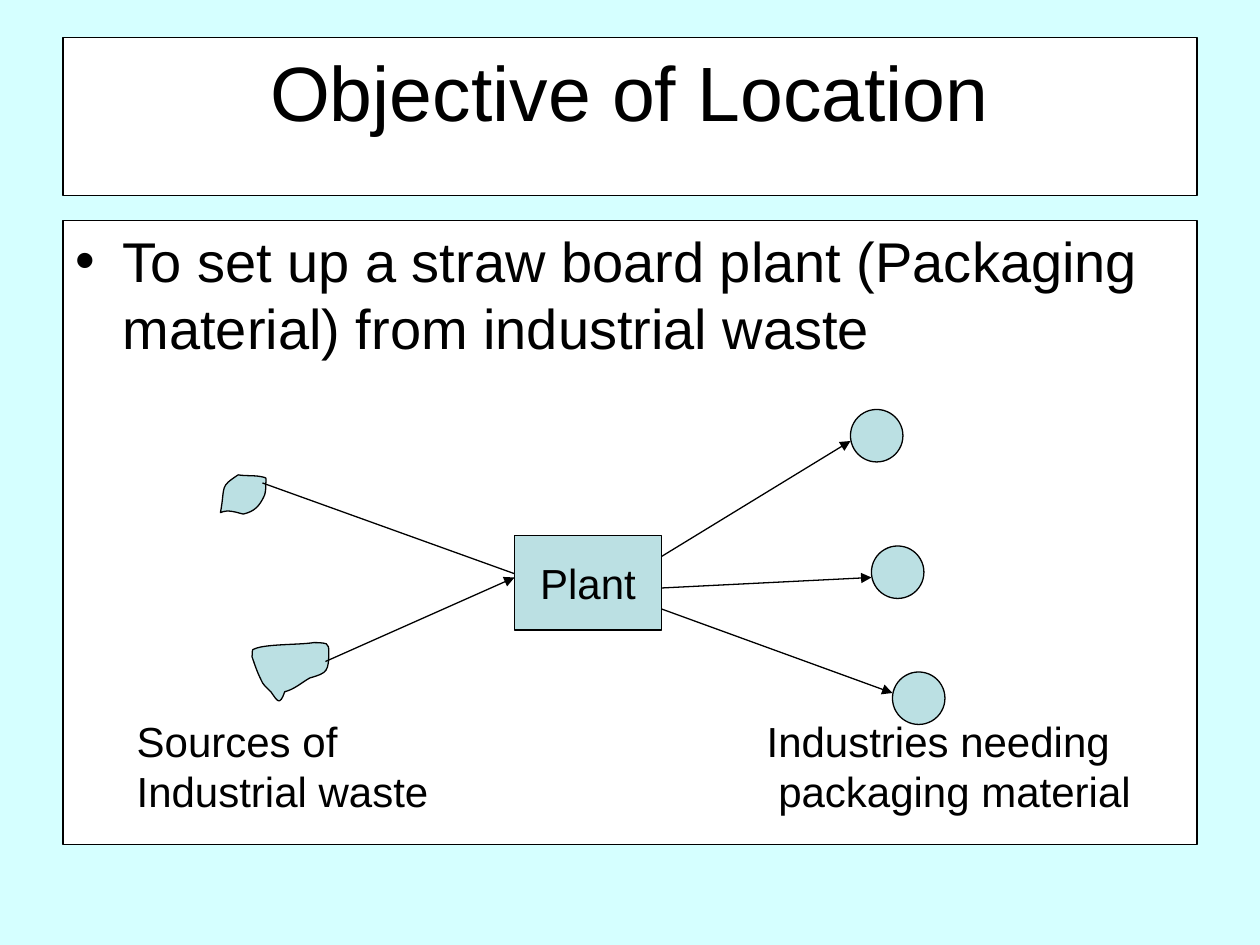
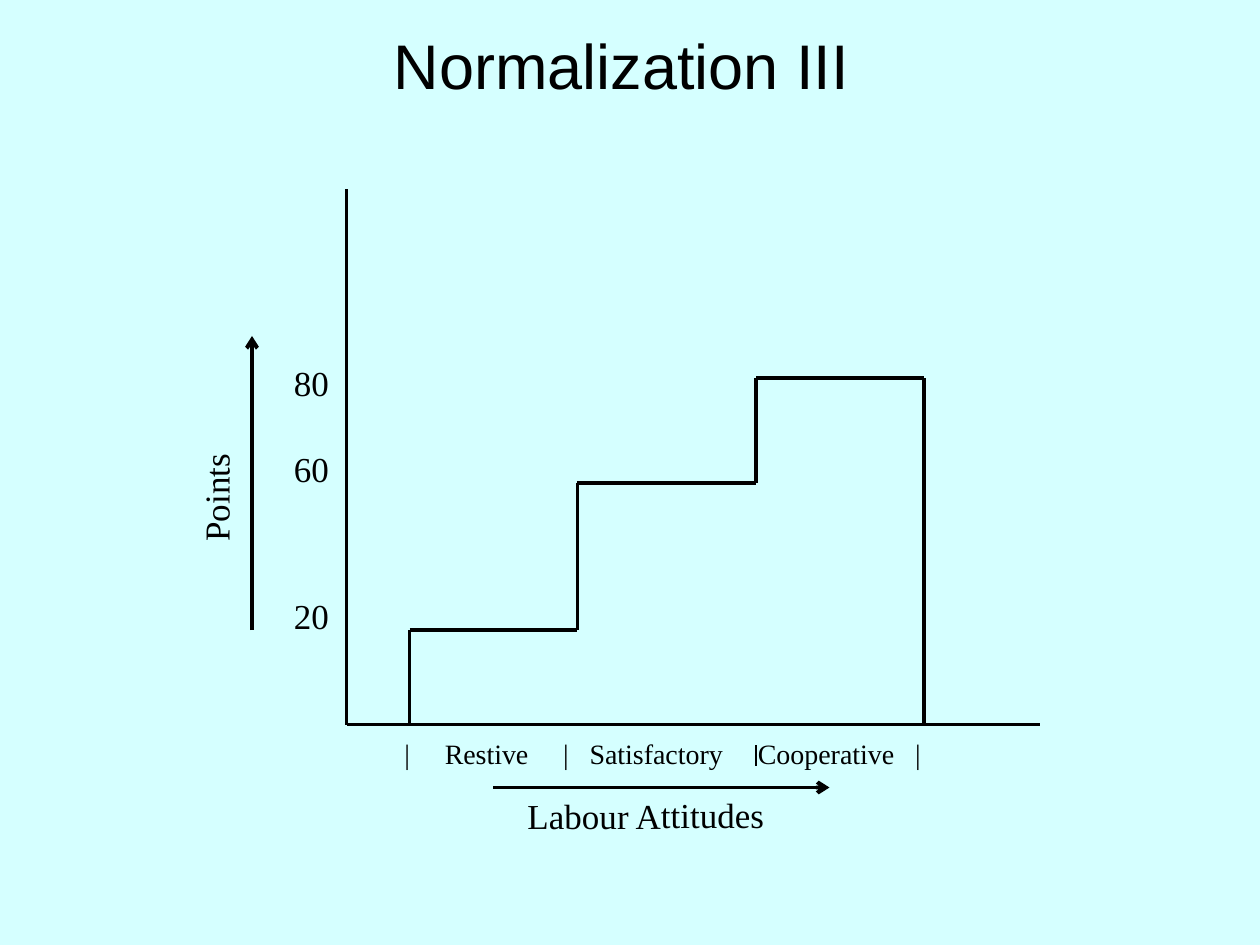
import pptx
import pptx.util
import pptx.dml.color
import pptx.enum.shapes
import pptx.enum.text
import pptx.oxml
import pptx.oxml.ns
from lxml import etree

Pt = pptx.util.Pt
RGB = pptx.dml.color.RGBColor
SHAPE = pptx.enum.shapes.MSO_SHAPE
ALIGN = pptx.enum.text.PP_ALIGN
ANCHOR = pptx.enum.text.MSO_ANCHOR
AUTO = pptx.enum.text.MSO_AUTO_SIZE
qn = pptx.oxml.ns.qn

PALE = RGB(0xD5, 0xFF, 0xFF)
WHITE = RGB(0xFF, 0xFF, 0xFF)
TEAL = RGB(0xBB, 0xE0, 0xE3)
BLACK = RGB(0, 0, 0)
SANS, SERIF = "Arial", "Times New Roman"
THIN, THICK = 0.74, 2.24

# Content, lengths in points
OBJECTIVE = "To set up a straw board plant (Packaging material) from industrial waste"
PLANT = (294, 306, 84, 54)
CIRCLE = 30
# start of the outline, then three control points for each curve
SOURCES = [
    [(126, 293), (128.9, 277.2), (125.3, 278.6), (136.1, 271.4),
     (141.1, 272.2), (146.2, 271.4), (151.2, 272.9), (152.6, 272.9),
     (151.9, 275), (151.9, 276.5), (151.9, 278.6), (151.9, 280.8),
     (151.2, 283), (148.3, 289.4), (145.4, 292.3), (139, 293.8),
     (135.4, 293), (130.3, 290.9), (126, 293)],
    [(144, 375.1), (144.7, 373.7), (143.3, 370.8), (145.4, 370.8),
     (151.9, 367.9), (170.6, 368.6), (179.3, 367.2), (181.4, 367.2),
     (184.3, 367.2), (186.5, 367.9), (187.9, 368.6), (187.9, 370.8),
     (187.9, 371.5), (187.9, 383.8), (187.2, 384.5), (177.1, 387.4),
     (172.1, 390.2), (168.5, 393.8), (162.7, 395.3), (159.8, 403.9),
     (158.4, 400.3), (154.8, 395.3), (151.9, 392.4), (150.5, 391.7),
     (149, 388.1), (146.9, 383.8), (145.4, 379.4), (144, 375.1)]]
INFLOWS = [(150, 276, 300, 330), (186, 378, 294, 330)]
# circle left and top, arrow start and end heights
INDUSTRIES = [(486, 234, 318, 252), (498, 312, 336, 330), (510, 384, 348, 396)]
CAPTIONS = [((71, 405.2, 182, 64.8), ["Sources of ", "Industrial waste"]),
            ((431, 405.2, 224, 64.8), ["Industries needing", " packaging material"])]

AXIS_X, AXIS_TOP, AXIS_RIGHT, BASE = 198, 108, 594, 414
EDGES = [234, 330, 432, 528]
STEPS = [("20", 360, 336.2), ("60", 276, 252), ("80", 216, 203)]  # label, height, label top
CATEGORIES = [("|", 51.4), ("Restive", 96.8), ("|", 142.1), ("Satisfactory", 193.7),
              ("Cooperative", 290.8), ("|", 343.3)]  # text, centre from the left inset
AXIS_NAMES = [("Points", (90.5, 268.6, 66, 31.7), 270),
              ("Labour Attitudes", (293, 450.2, 152, 31.7), 359.8)]
AXIS_ARROWS = [(144, 360, 144, 192), (282, 450, 474, 450)]

prs = pptx.Presentation()
prs.slide_width, prs.slide_height = Pt(720), Pt(540)
fill = prs.slide_master.background.fill
fill.solid()
fill.fore_color.rgb = PALE


# Shared helpers
def paint(sp, color):
    sp.fill.solid()
    sp.fill.fore_color.rgb = color
    sp.line.color.rgb = BLACK
    sp.line.width = Pt(THIN)


def write(sp, lines, size, font=SANS, align=ALIGN.LEFT, anchor=ANCHOR.TOP, wrap=True,
          auto=AUTO.NONE):
    tf = sp.text_frame
    tf.word_wrap, tf.auto_size, tf.vertical_anchor = wrap, auto, anchor
    tf.margin_left = tf.margin_right = Pt(7.2)
    tf.margin_top = tf.margin_bottom = Pt(3.6)
    for i, line in enumerate(lines):
        p = tf.add_paragraph() if i else tf.paragraphs[0]
        p.alignment = align
        r = p.add_run()
        r.text = line
        r.font.size, r.font.name, r.font.color.rgb = Pt(size), font, BLACK
    return tf.paragraphs[0]


def title_slide(text, box, size, anchor):
    s = prs.slides.add_slide(prs.slide_layouts[5])
    sp = s.shapes.title
    sp.left, sp.top, sp.width, sp.height = map(Pt, box)
    write(sp, [text], size, align=ALIGN.CENTER, anchor=anchor)
    return s


def shape(s, kind, box, color):
    sp = s.shapes.add_shape(kind, *map(Pt, box))
    sp.shadow.inherit = False
    paint(sp, color)
    return sp


def label(s, box, lines, size, font, align, wrap=False):
    sp = s.shapes.add_textbox(*map(Pt, box))
    return sp, write(sp, lines, size, font, align, wrap=wrap, auto=AUTO.SHAPE_TO_FIT_TEXT)


def line(s, ends, width, head=None):
    c = s.shapes.add_connector(pptx.enum.shapes.MSO_CONNECTOR.STRAIGHT, *map(Pt, ends))
    c.line.color.rgb = BLACK
    c.line.width = Pt(width)
    if head:
        etree.SubElement(c.line._get_or_add_ln(), qn("a:tailEnd"), type=head)
    etree.SubElement(c._element.spPr, qn("a:effectLst"))


def blob(s, pts):
    fb = s.shapes.build_freeform(Pt(pts[0][0]), Pt(pts[0][1]))
    fb.add_line_segments([(Pt(x), Pt(y)) for x, y in pts[1:]], close=True)
    sp = fb.convert_to_shape()
    sp.shadow.inherit = False
    paint(sp, TEAL)
    # every three straight segments become one curve
    segments = list(sp._element.iter(qn("a:lnTo")))
    for i in range(0, len(segments) - 2, 3):
        curve = etree.Element(qn("a:cubicBezTo"))
        segments[i].addprevious(curve)
        for seg in segments[i:i + 3]:
            curve.append(seg[0])
            seg.getparent().remove(seg)


# Slide 1: sources, plant and industries
s = title_slide("Objective of Location", (36, 21.6, 648, 90), 44, ANCHOR.TOP)
paint(s.shapes.title, WHITE)
body = shape(s, SHAPE.RECTANGLE, (36, 126, 648, 356.4), WHITE)
p = write(body, [OBJECTIVE], 32)
p.space_before = Pt(8)
pPr = p._p.get_or_add_pPr()
pPr.set("marL", str(Pt(27)))
pPr.set("indent", str(-Pt(27)))
etree.SubElement(pPr, qn("a:buFont"), typeface=SANS)
etree.SubElement(pPr, qn("a:buChar"), char="•")

for pts in SOURCES:
    blob(s, pts)
for ends in INFLOWS:
    line(s, ends, THIN, "triangle")
plant = shape(s, SHAPE.RECTANGLE, PLANT, TEAL)
write(plant, ["Plant"], 24, align=ALIGN.CENTER, anchor=ANCHOR.MIDDLE, wrap=False)
for x, y, start, end in INDUSTRIES:
    line(s, (PLANT[0] + PLANT[2], start, x, end), THIN, "triangle")
    shape(s, SHAPE.OVAL, (x, y, CIRCLE, CIRCLE), TEAL)
for box, lines in CAPTIONS:
    label(s, box, lines, 24, SANS, ALIGN.LEFT)

# Slide 2: step diagram
s = title_slide("Normalization III ", (36, 21.6, 648, 30), 36, ANCHOR.MIDDLE)
line(s, (AXIS_X, AXIS_TOP, AXIS_X, BASE), THICK)
line(s, (AXIS_X, BASE, AXIS_RIGHT, BASE), THICK)
levels = [BASE] + [top for _, top, _ in STEPS] + [BASE]
for x, before, after in zip(EDGES, levels, levels[1:]):
    line(s, (x, before, x, after), THICK)
for left, right, (text, top, label_top) in zip(EDGES, EDGES[1:], STEPS):
    line(s, (left, top, right, top), THICK)
    label(s, (160.6, label_top, 34.6, 31.7), [text], 20, SERIF, ALIGN.CENTER)
for ends in AXIS_ARROWS:
    line(s, ends, THICK, "arrow")
for text, box, turn in AXIS_NAMES:
    sp, _ = label(s, box, [text], 20, SERIF, ALIGN.CENTER)
    sp.rotation = turn

# Category row, each entry centred on a tab stop
row = "".join("\t" + text for text, _ in CATEGORIES)
_, p = label(s, (174.2, 417.6, 365.8, 26.6), [row], 16, SERIF, ALIGN.LEFT, wrap=True)
tabs = etree.SubElement(p._p.get_or_add_pPr(), qn("a:tabLst"))
for _, centre in CATEGORIES:
    etree.SubElement(tabs, qn("a:tab"), pos=str(Pt(centre)), algn="ctr")
line(s, (EDGES[2], 426, EDGES[2], 438), THIN)

prs.save("out.pptx")
